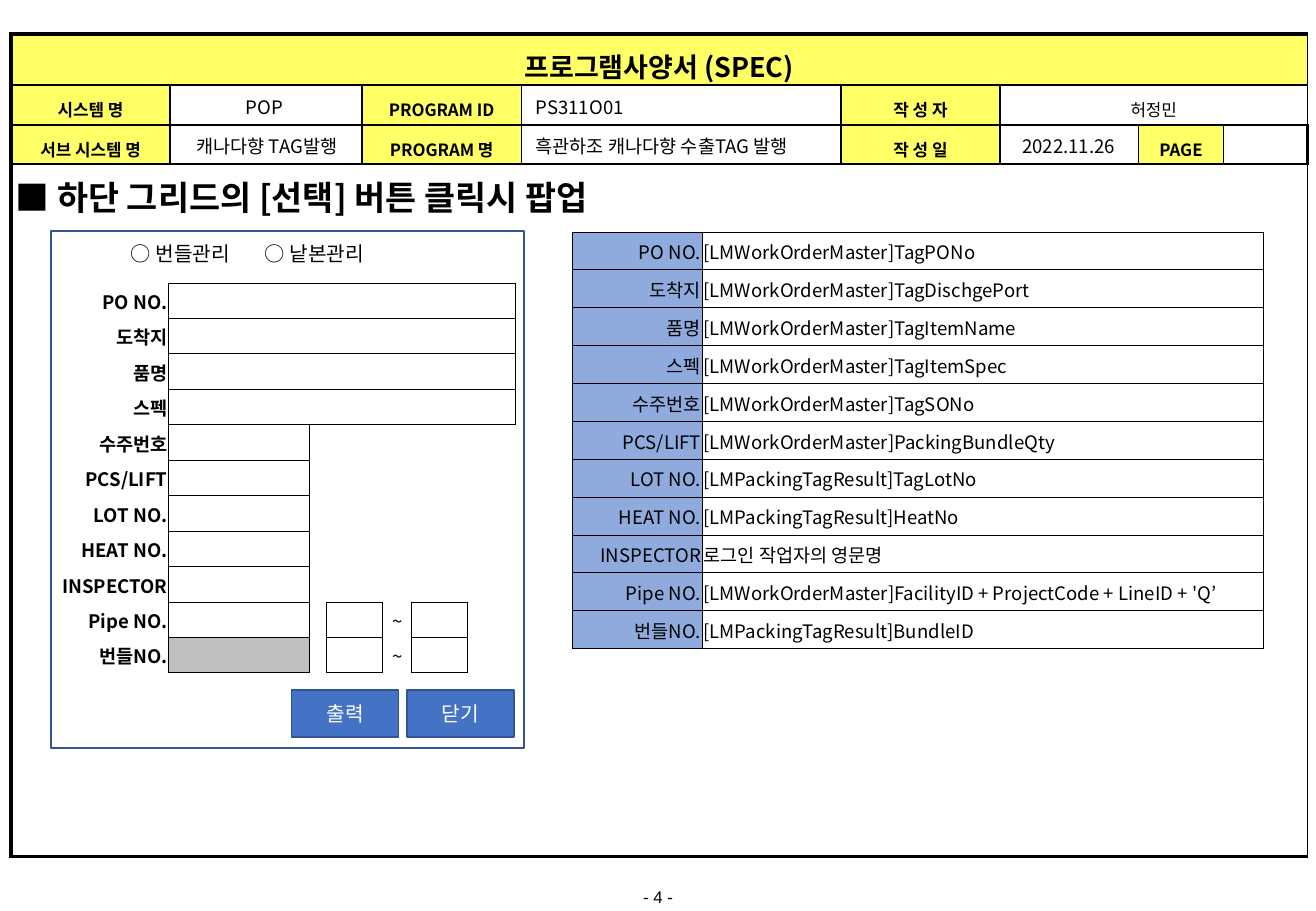
from dataclasses import dataclass

from pptx import Presentation
from pptx.dml.color import RGBColor
from pptx.enum.shapes import MSO_SHAPE
from pptx.enum.text import MSO_ANCHOR, PP_ALIGN
from pptx.oxml.xmlchemy import OxmlElement
from pptx.util import Inches, Pt

LEFT, CENTER, RIGHT = PP_ALIGN.LEFT, PP_ALIGN.CENTER, PP_ALIGN.RIGHT
TOP, MIDDLE = MSO_ANCHOR.TOP, MSO_ANCHOR.MIDDLE
RECTANGLE = MSO_SHAPE.RECTANGLE
PLAIN_TABLE = "{2D5ABB26-0587-4C30-8999-92F81FD0307C}"


@dataclass(frozen=True)
class Theme:
    font: str = "Noto Sans CJK KR"
    footer_font: str = "Arial"
    black: str = "000000"
    white: str = "FFFFFF"
    yellow: str = "FFFF66"
    label_blue: str = "8FAADC"
    button_blue: str = "4472C4"
    button_edge: str = "325491"
    panel_edge: str = "2F5597"
    locked_gray: str = "BFBFBF"
    heading: int = 20
    title: int = 16
    button: int = 12
    body: int = 11
    small: int = 10
    thick: float = 2.25
    normal: float = 1
    thin: float = 0.5


THEME = Theme()

TITLE = "프로그램사양서 (SPEC)"
HEADER_COLUMNS = [1.31, 1.58, 1.31, 2.63, 1.31, 1.14, 0.7, 0.69]
HEADER_ROWS = [0.42, 0.33, 0.32, 5.7]
HEADER_LABELS = {
    (1, 0): "시스템 명", (1, 2): "PROGRAM ID", (1, 4): "작 성 자",
    (2, 0): "서브 시스템 명", (2, 2): "PROGRAM 명", (2, 4): "작 성 일", (2, 6): "PAGE",
}
AUTHOR = "허정민"
HEADER_VALUES = [  # text, left, top, width, alignment
    ("POP", 1.47, 0.74, 1.41, CENTER),
    ("캐나다향 TAG발행", 1.4, 1.06, 1.59, CENTER),
    ("2022.11.26", 8.23, 1.06, 1.13, CENTER),
    ("흑관하조 캐나다향 수출TAG 발행", 4.31, 1.06, 2.6, LEFT),
    ("PS311O01", 4.31, 0.74, 2.6, LEFT),
]
HEADING = "■ 하단 그리드의 [선택] 버튼 클릭시 팝업"
BUTTONS = ["출력", "닫기"]
OPTIONS = ["○ 번들관리", "○ 낱본관리"]
FIELDS = [
    ("PO NO.", "[LMWorkOrderMaster]TagPONo"),
    ("도착지", "[LMWorkOrderMaster]TagDischgePort"),
    ("품명", "[LMWorkOrderMaster]TagItemName"),
    ("스펙", "[LMWorkOrderMaster]TagItemSpec"),
    ("수주번호", "[LMWorkOrderMaster]TagSONo"),
    ("PCS/LIFT", "[LMWorkOrderMaster]PackingBundleQty"),
    ("LOT NO.", "[LMPackingTagResult]TagLotNo"),
    ("HEAT NO.", "[LMPackingTagResult]HeatNo"),
    ("INSPECTOR", "로그인 작업자의 영문명"),
    ("Pipe NO.", "[LMWorkOrderMaster]FacilityID + ProjectCode + LineID + 'Q’"),
    ("번들NO.", "[LMPackingTagResult]BundleID"),
]
WIDE_FIELDS = 4
RANGE_FIELDS = ("Pipe NO.", "번들NO.")
LOCKED_FIELD = "번들NO."
FORM_COLUMNS = [0.96, 1.16, 0.14, 0.46, 0.24, 0.46, 0.39]
SOURCE_COLUMNS = [1.07, 4.62]
PAGE_NUMBER = "- 4 -"


def write(frame, text, size=THEME.body, align=LEFT, bold=False,
          color=THEME.black, font=THEME.font):
    para = frame.paragraphs[0]
    para.text = text
    para.alignment = align
    para.font.size = Pt(size)
    para.font.bold = bold
    para.font.color.rgb = RGBColor.from_string(color)
    para.font.name = font
    east_asian = OxmlElement("a:ea")
    east_asian.set("typeface", font)
    para.font._element.append(east_asian)


def add_text(page, text, left, top, width, height, **style):
    frame = page.shapes.add_textbox(*map(Inches, (left, top, width, height))).text_frame
    frame.word_wrap = True
    write(frame, text, **style)


def add_box(page, left, top, width, height, edge, fill=None):
    box = page.shapes.add_shape(RECTANGLE, *map(Inches, (left, top, width, height)))
    box.shadow.inherit = False
    box.line.color.rgb = RGBColor.from_string(edge)
    box.line.width = Pt(THEME.normal)
    if fill:
        box.fill.solid()
        box.fill.fore_color.rgb = RGBColor.from_string(fill)
    else:
        box.fill.background()
    return box


def add_grid(page, left, top, columns, rows):
    """Add a table without style, banding or cell borders."""
    frame = page.shapes.add_table(len(rows), len(columns), Inches(left), Inches(top),
                                  Inches(sum(columns)), Inches(sum(rows)))
    table = frame.table
    table.first_row = table.horz_banding = False
    table._tbl.tblPr.find("{*}tableStyleId").text = PLAIN_TABLE
    for column, width in zip(table.columns, columns):
        column.width = Inches(width)
    for row, height in zip(table.rows, rows):
        row.height = Inches(height)
    for cell in table.iter_cells():
        fill_cell(cell)
    return table


def fill_cell(cell, text="", fill=None, margins=(0.01, 0.01, 0.01, 0), anchor=MIDDLE, **style):
    cell.margin_left, cell.margin_top, cell.margin_right, cell.margin_bottom = map(Inches, margins)
    cell.vertical_anchor = anchor
    if fill:
        cell.fill.solid()
        cell.fill.fore_color.rgb = RGBColor.from_string(fill)
    if text:
        write(cell.text_frame, text, **style)
    else:
        cell.text_frame.paragraphs[0].font.size = Pt(THEME.small)


def border(cell, left, right, top, bottom):
    properties = cell._tc.get_or_add_tcPr()
    for position, (side, width) in enumerate(zip("LRTB", (left, right, top, bottom))):
        line = OxmlElement(f"a:ln{side}")
        line.set("w", str(Pt(width)))
        solid = OxmlElement("a:solidFill")
        color = OxmlElement("a:srgbClr")
        color.set("val", THEME.black)
        solid.append(color)
        line.append(solid)
        properties.insert(position, line)


def add_header(page):
    table = add_grid(page, 0.09, 0.28, HEADER_COLUMNS, HEADER_ROWS)
    last_row, last_column = len(HEADER_ROWS) - 1, len(HEADER_COLUMNS) - 1
    for row in range(last_row + 1):
        for column in range(last_column + 1):
            at_edge = (column == 0, column == last_column, row == 0, row == last_row)
            border(table.cell(row, column),
                   *(THEME.thick if edge else THEME.normal for edge in at_edge))
    for row, first in ((0, 0), (1, 5), (last_row, 0)):
        table.cell(row, first).merge(table.cell(row, last_column))
    fill_cell(table.cell(0, 0), TITLE, THEME.yellow, (0.08, 0.1, 0.08, 0),
              size=THEME.title, align=CENTER, bold=True)
    label_style = dict(margins=(0.08, 0.1, 0.08, 0), anchor=TOP, size=THEME.small, align=CENTER)
    for (row, column), text in HEADER_LABELS.items():
        fill_cell(table.cell(row, column), text, THEME.yellow, bold=True, **label_style)
    fill_cell(table.cell(1, 5), AUTHOR, **label_style)
    for text, left, top, width, align in HEADER_VALUES:
        add_text(page, text, left, top, width, 0.29, align=align)


def add_popup(page):
    add_box(page, 0.42, 1.9, 3.89, 4.26, THEME.panel_edge)
    for index, text in enumerate(BUTTONS):
        button = add_box(page, 2.4 + 0.95 * index, 5.68, 0.88, 0.39,
                         THEME.button_edge, THEME.button_blue)
        button.text_frame.vertical_anchor = MIDDLE
        write(button.text_frame, text, THEME.button, CENTER, color=THEME.white)
    for index, text in enumerate(OPTIONS):
        add_text(page, text, 0.98 + 1.1 * index, 1.94, 1.2, 0.3, size=THEME.button)

    table = add_grid(page, 0.43, 2.33, FORM_COLUMNS, [3.21 / len(FIELDS)] * len(FIELDS))
    for row, (label, _) in enumerate(FIELDS):
        fill_cell(table.cell(row, 0), label, align=RIGHT, bold=True)
        inputs = [1]
        if row < WIDE_FIELDS:
            inputs = range(1, len(FORM_COLUMNS))
            table.cell(row, 1).merge(table.cell(row, inputs[-1]))
        elif label in RANGE_FIELDS:
            inputs = [1, 3, 5]
            fill_cell(table.cell(row, 4), "~", align=CENTER)
        for column in inputs:
            locked = label == LOCKED_FIELD and column == 1
            fill_cell(table.cell(row, column), fill=THEME.locked_gray if locked else THEME.white)
            border(table.cell(row, column), *[THEME.thin] * 4)


def add_sources(page):
    table = add_grid(page, 4.71, 1.91, SOURCE_COLUMNS, [3.43 / len(FIELDS)] * len(FIELDS))
    for row, (label, source) in enumerate(FIELDS):
        fill_cell(table.cell(row, 0), label, THEME.label_blue, align=RIGHT)
        fill_cell(table.cell(row, 1), source, THEME.white)
    for cell in table.iter_cells():
        border(cell, *[THEME.thin] * 4)


def main():
    deck = Presentation()
    deck.slide_width, deck.slide_height = Inches(10.83), Inches(7.5)
    page = deck.slides.add_slide(deck.slide_layouts[6])
    add_text(page, PAGE_NUMBER, 0, 7.25, 10.83, 0.26, size=THEME.small, align=CENTER,
             font=THEME.footer_font)
    add_header(page)
    add_text(page, HEADING, 0.03, 1.41, 10.78, 0.44, size=THEME.heading, bold=True)
    add_popup(page)
    add_sources(page)
    deck.save("out.pptx")


if __name__ == "__main__":
    main()
